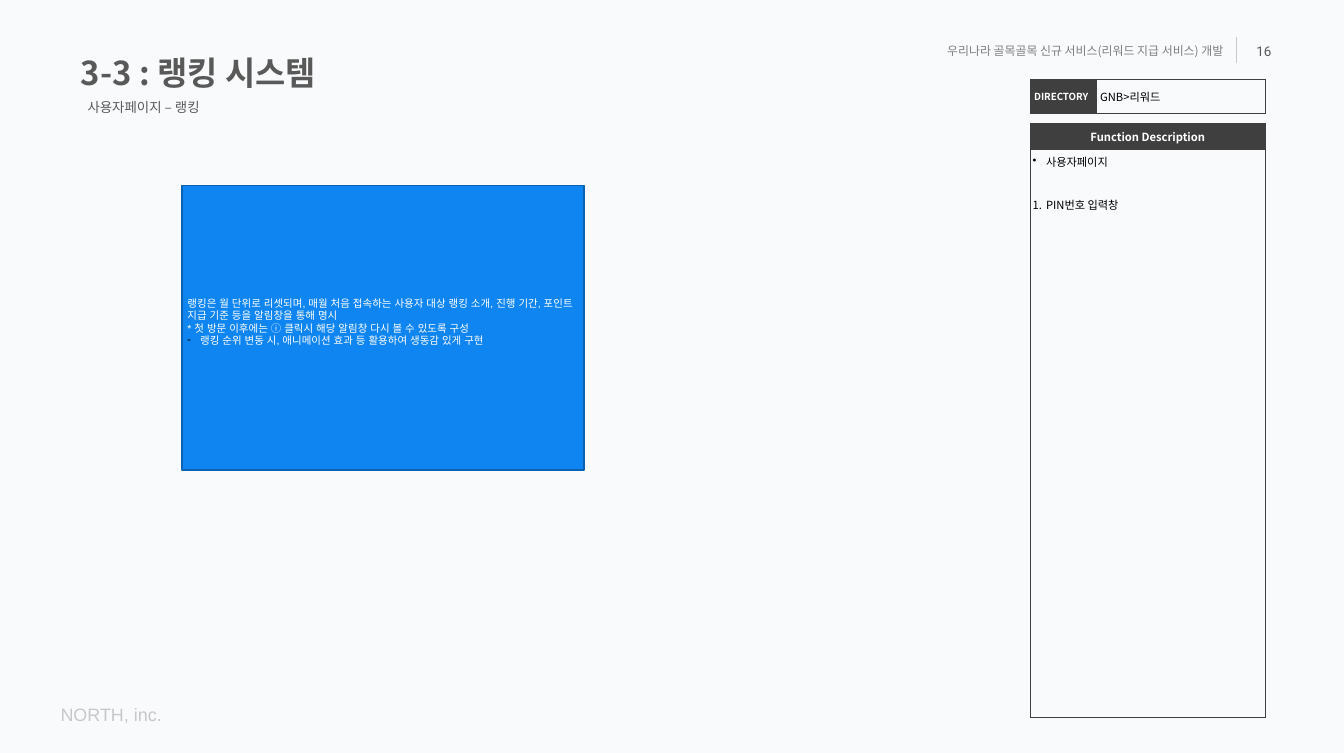
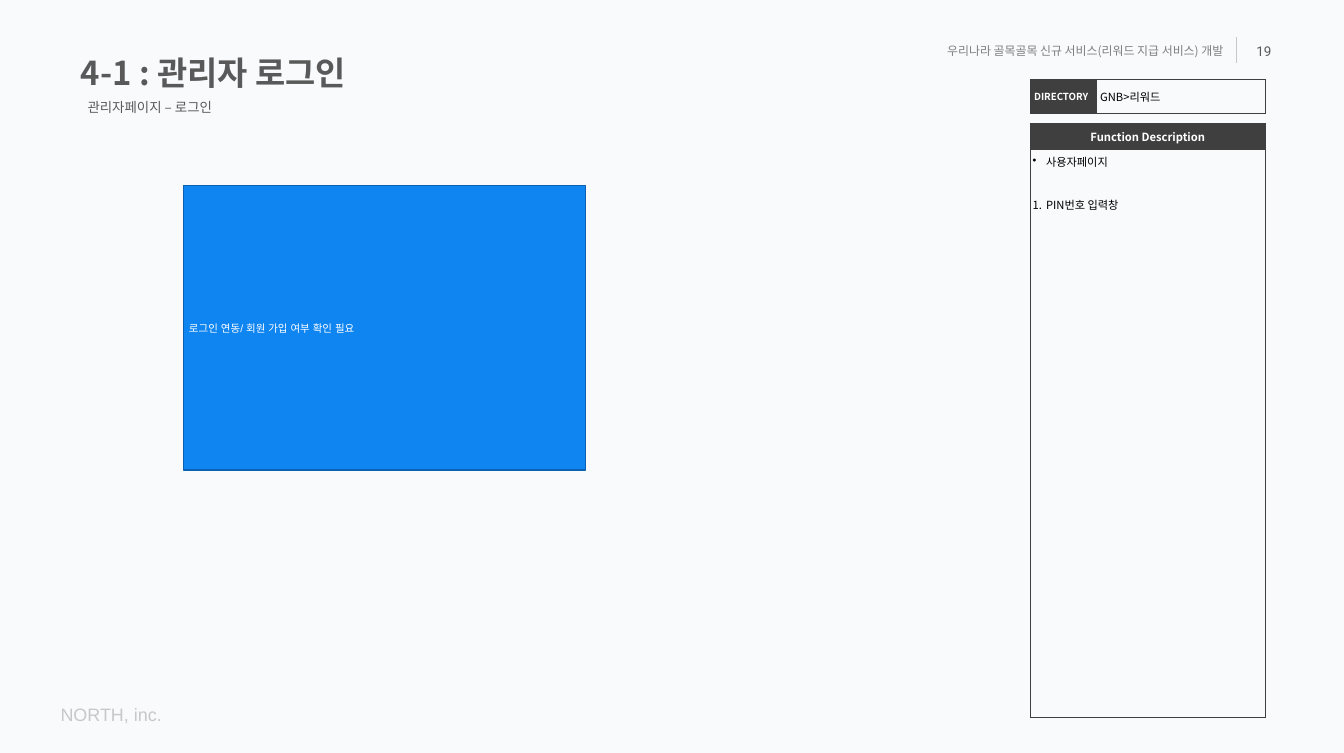
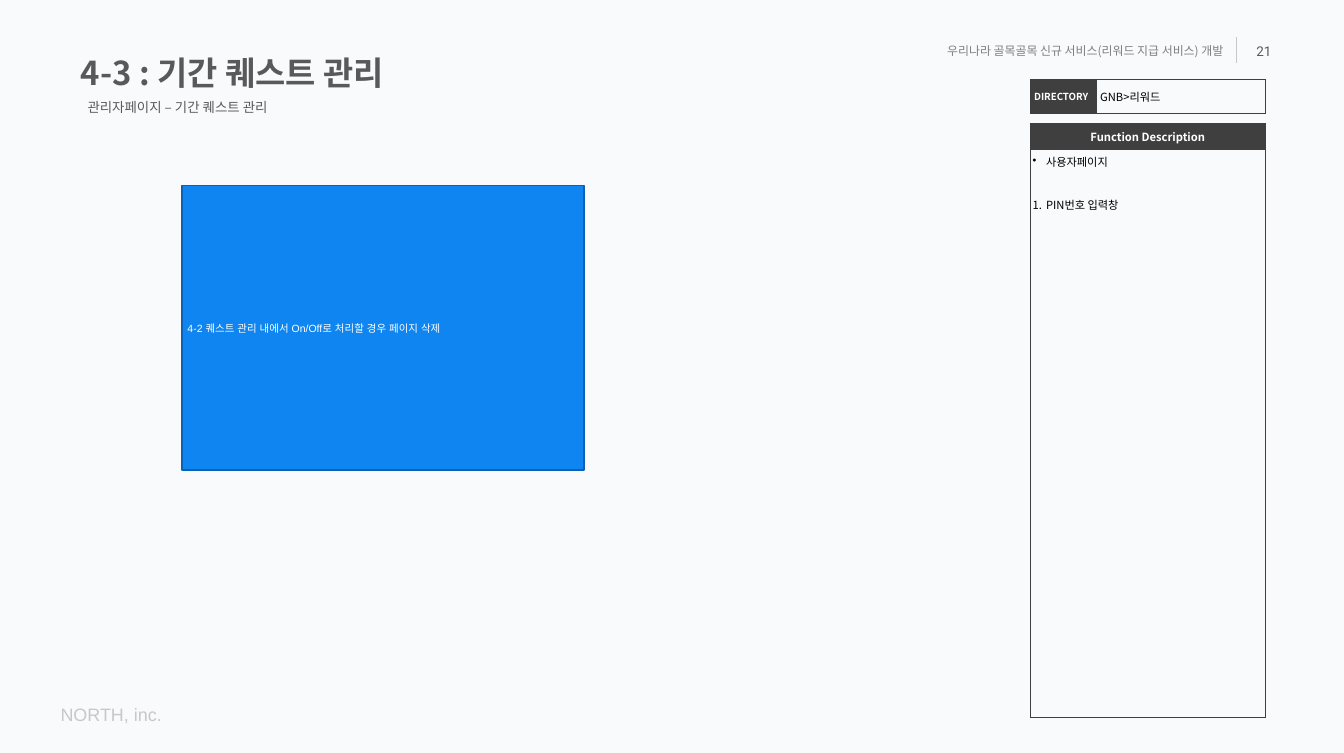
from dataclasses import dataclass

from lxml import etree
from pptx import Presentation
from pptx.dml.color import RGBColor
from pptx.enum import shapes, text
from pptx.oxml import ns
from pptx.util import Pt

SANS = "Noto Sans CJK KR"


@dataclass(frozen=True)
class Style:
    size: float
    color: str
    font: str = SANS
    bold: bool = False


class Theme:
    background = "F8FAFB"
    rule = "C7C7CC"
    dark = "3F3F3F"
    black = "000000"
    note_fill = "0F85F1"
    note_line = "0B62B2"

    title = Style(44, "595959", bold=True)
    subtitle = Style(18, "595959")
    project = Style(16, "7F7F7F")
    page = Style(18, "595959", "Roboto")
    footer = Style(24, rule, "Arial")
    label = Style(13, "FFFFFF", bold=True)
    heading = Style(15, "FFFFFF", bold=True)
    cell = Style(15, black)
    note = Style(14, "FFFFFF", "Arial")


@dataclass(frozen=True)
class Item:
    text: str
    bullet: str = ""  # a character, or "1." for automatic numbers
    indent: float = 0
    before: float = 0


@dataclass(frozen=True)
class Page:
    number: int
    title: str
    subtitle: str
    note: tuple
    note_left: float = 244
    note_bottom: float = 3.6


PAGES = [
    Page(16, "3-3 : 랭킹 시스템", "사용자페이지 – 랭킹", (
        Item("랭킹은 월 단위로 리셋되며, 매월 처음 접속하는 사용자 대상 랭킹 소개, "
             "진행 기간, 포인트 지급 기준 등을 알림창을 통해 명시"),
        Item("* 첫 방문 이후에는 ⓘ 클릭시 해당 알림창 다시 볼 수 있도록 구성"),
        Item("랭킹 순위 변동 시, 애니메이션 효과 등 활용하여 생동감 있게 구현",
             "-", 17),
    ), note_bottom=20),
    Page(19, "4-1 : 관리자 로그인", "관리자페이지 – 로그인",
         (Item("로그인 연동/ 회원 가입 여부 확인 필요"),), note_left=246),
    Page(21, "4-3 : 기간 퀘스트 관리", "관리자페이지 – 기간 퀘스트 관리",
         (Item("4-2 퀘스트 관리 내에서 On/Off로 처리할 경우 페이지 삭제"),)),
]
FUNCTIONS = (Item("사용자페이지", "•", 18),
             Item("PIN번호 입력창", "1.", 18, before=36.75))


def rgb(color):
    return RGBColor.from_string(color)


def points(*values):
    return [Pt(v) for v in values]


def add_xml(parent, tag, **attrs):
    return etree.SubElement(parent, ns.qn(tag), attrs)


# Text
def set_bullet(p, item):
    pPr = p._p.get_or_add_pPr()
    pPr.set("marL", str(Pt(item.indent)))
    pPr.set("indent", str(-Pt(item.indent)))
    if not item.bullet:
        add_xml(pPr, "a:buNone")
        return
    add_xml(add_xml(pPr, "a:buClr"), "a:srgbClr", val=Theme.black)
    if item.bullet == "1.":
        add_xml(pPr, "a:buAutoNum", type="arabicPeriod")
    else:
        add_xml(pPr, "a:buChar", char=item.bullet)


def write(tf, items, style, align=text.PP_ALIGN.LEFT, spacing=1.0):
    for i, item in enumerate(items):
        p = tf.add_paragraph() if i else tf.paragraphs[0]
        p.text = item.text
        set_bullet(p, item)
        p.alignment = align
        p.line_spacing = spacing
        p.space_before = Pt(item.before)
        font = p.font
        font.size, font.bold, font.name = Pt(style.size), style.bold, style.font
        font.color.rgb = rgb(style.color)
        add_xml(p._p.pPr.find(ns.qn("a:defRPr")), "a:ea", typeface=style.font)


def add_text(slide, box, content, style, anchor=text.MSO_ANCHOR.MIDDLE, **options):
    tf = slide.shapes.add_textbox(*points(*box)).text_frame
    tf.word_wrap = True
    tf.vertical_anchor = anchor
    write(tf, [Item(content)], style, **options)
    return tf


def fill_placeholder(sp, content, style, auto_size):
    tf = sp.text_frame
    tf.vertical_anchor = text.MSO_ANCHOR.TOP
    tf.auto_size = auto_size
    write(tf, [Item(content)], style, spacing=1.5)


# Tables
def add_grid(slide, left, top, widths, heights):
    frame = slide.shapes.add_table(len(heights), len(widths), *points(
        left, top, sum(widths), sum(heights)))
    table = frame.table
    table.first_row = table.horz_banding = False
    for column, width in zip(table.columns, widths):
        column.width = Pt(width)
    for row, height in zip(table.rows, heights):
        row.height = Pt(height)
    return table


def fill_cell(cell, items, style, margins, fill=None, anchor=text.MSO_ANCHOR.TOP,
              **options):
    cell.margin_left = cell.margin_right = Pt(margins[0])
    cell.margin_top = cell.margin_bottom = Pt(margins[1])
    cell.vertical_anchor = anchor
    write(cell.text_frame, items, style, **options)
    # Borders come before the fill
    tcPr = cell._tc.get_or_add_tcPr()
    for side in "LRTB":
        line = add_xml(tcPr, f"a:ln{side}", w=str(Pt(0.75)))
        add_xml(add_xml(line, "a:solidFill"), "a:srgbClr", val=Theme.dark)
    if fill:
        cell.fill.solid()
        cell.fill.fore_color.rgb = rgb(fill)
    else:
        cell.fill.background()


def add_directory(slide):
    table = add_grid(slide, 1380, 106, [88.5, 225.5], [46])
    middle = text.MSO_ANCHOR.MIDDLE
    fill_cell(table.cell(0, 0), [Item("DIRECTORY")], Theme.label, (5, 5),
              Theme.dark, middle)
    fill_cell(table.cell(0, 1), [Item("GNB>리워드")], Theme.cell, (5, 5),
              anchor=middle)


def add_functions(slide):
    table = add_grid(slide, 1380, 165.5, [314.5], [29.5, 761])
    fill_cell(table.cell(0, 0), [Item("Function Description")], Theme.heading,
              (3, 6), Theme.dark, align=text.PP_ALIGN.CENTER)
    fill_cell(table.cell(1, 0), FUNCTIONS, Theme.cell, (3, 6))


# Blue note
def add_note(slide, page):
    sp = slide.shapes.add_shape(shapes.MSO_SHAPE.RECTANGLE,
                                *points(page.note_left, 248.5, 538, 381))
    sp.shadow.inherit = False
    sp.fill.solid()
    sp.fill.fore_color.rgb = rgb(Theme.note_fill)
    sp.line.color.rgb = rgb(Theme.note_line)
    sp.line.width = Pt(2)
    tf = sp.text_frame
    tf.word_wrap = True
    tf.vertical_anchor = text.MSO_ANCHOR.MIDDLE
    tf.margin_bottom = Pt(page.note_bottom)
    write(tf, page.note, Theme.note)


# Shared layout
def prepare_layout(layout):
    for ph in list(layout.placeholders):
        if ph.placeholder_format.idx > 1:
            ph.element.getparent().remove(ph.element)
    boxes = ((101, 41, 679, 87), (110, 118, 533.5, 40.5))
    for ph, box in zip(layout.placeholders, boxes):
        ph.left, ph.top, ph.width, ph.height = points(*box)


def add_layout_marks(slide, layout):
    """Draw the divider and footer, then move them to the layout."""
    line = slide.shapes.add_connector(shapes.MSO_CONNECTOR.STRAIGHT,
                                      *points(1656, 49, 1656, 85))
    line.line.color.rgb = rgb(Theme.rule)
    line.line.width = Pt(0.75)
    add_xml(line.element.spPr, "a:effectLst")
    footer = add_text(slide, (74, 924.5, 255.5, 51), "NORTH, inc.", Theme.footer,
                      text.MSO_ANCHOR.TOP, spacing=1.5)
    footer.auto_size = text.MSO_AUTO_SIZE.SHAPE_TO_FIT_TEXT
    tree = layout.placeholders[0].element.getparent()
    for sp in list(slide.shapes)[-2:]:
        tree.append(sp.element)


def add_page(slide, page):
    title, subtitle = slide.placeholders
    fill_placeholder(title, page.title, Theme.title,
                     text.MSO_AUTO_SIZE.SHAPE_TO_FIT_TEXT)
    fill_placeholder(subtitle, page.subtitle, Theme.subtitle,
                     text.MSO_AUTO_SIZE.NONE)
    add_directory(slide)
    add_functions(slide)
    right = text.PP_ALIGN.RIGHT
    add_text(slide, (1038, 41, 607.5, 54),
             "우리나라 골목골목 신규 서비스(리워드 지급 서비스) 개발",
             Theme.project, align=right)
    add_text(slide, (1659.5, 41, 50.5, 54), str(page.number), Theme.page,
             align=right)
    add_note(slide, page)


def main():
    prs = Presentation()
    prs.slide_width, prs.slide_height = points(1800, 1008)
    background = prs.slide_master.background.fill
    background.solid()
    background.fore_color.rgb = rgb(Theme.background)
    layout = prs.slide_layouts[1]
    prepare_layout(layout)
    for i, page in enumerate(PAGES):
        slide = prs.slides.add_slide(layout)
        if i == 0:
            add_layout_marks(slide, layout)
        add_page(slide, page)
    prs.save("out.pptx")


if __name__ == "__main__":
    main()
